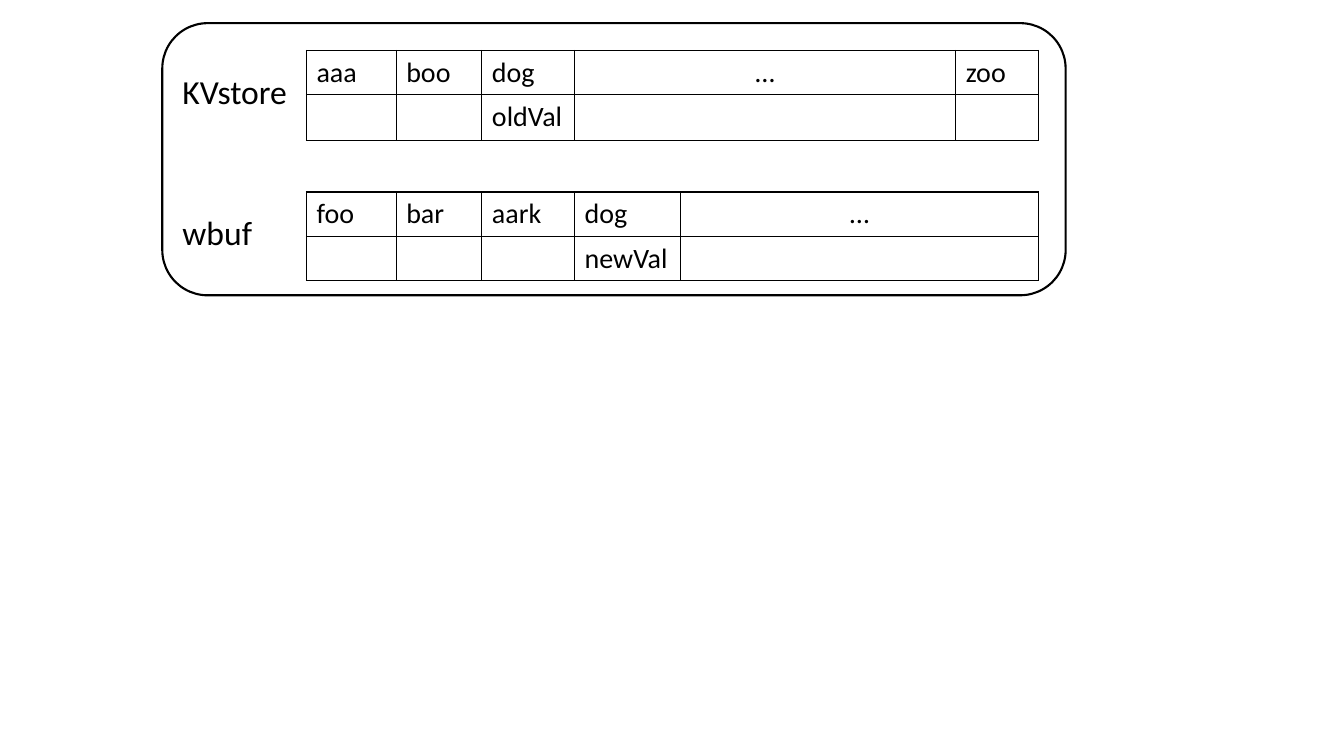
from lxml import etree
from pptx import Presentation
from pptx.dml.color import RGBColor
from pptx.enum import shapes, text
from pptx.oxml import ns
from pptx.util import Inches, Pt

COLORS = {"ink": "000000"}
FONT = "Calibri"
LABEL_SIZE, ENTRY_SIZE = 24, 20
NO_STYLE = "{2D5ABB26-0587-4C30-8999-92F81FD0307C}"
COLUMNS = [1.33, 0.89, 0.85, 0.92, 1.05, 1.62, 1.11, 0.82]
ROW_HEIGHT = 0.41
GAP_ROW = 2
ENTRIES = [
    ["KVstore", "aaa", "boo", "dog", "…", "", "", "zoo"],
    ["", "", "", "oldVal", "", "", "", ""],
    [""] * len(COLUMNS),
    ["wbuf", "foo", "bar", "aark", "dog", "…", "", ""],
    ["", "", "", "", "newVal", "", "", ""],
]
LABEL_ROWS = [0, 3]
ELLIPSIS_SPANS = [(0, 4, 6), (1, 4, 6), (3, 5, 7), (4, 5, 7)]


def write(frame, words, size=ENTRY_SIZE, color="ink", align=text.PP_ALIGN.LEFT):
    paragraph = frame.paragraphs[0]
    paragraph.alignment = align
    if not words:
        paragraph._p.get_or_add_endParaRPr().set("sz", str(size * 100))
        return
    run = paragraph.add_run()
    run.text = words
    run.font.size = Pt(size)
    run.font.name = FONT
    run.font.color.rgb = RGBColor.from_string(COLORS[color])


def set_borders(cell, sides):
    properties = cell._tc.get_or_add_tcPr()
    for side in "LRTB":
        line = etree.SubElement(properties, ns.qn(f"a:ln{side}"), w=str(Pt(1)))
        if side in sides:
            fill = etree.SubElement(line, ns.qn("a:solidFill"))
            etree.SubElement(fill, ns.qn("a:srgbClr"), val=COLORS["ink"])
        else:
            etree.SubElement(line, ns.qn("a:noFill"))
    cell.fill.background()


def add_enclosure(slide):
    enclosure = slide.shapes.add_shape(
        shapes.MSO_SHAPE.ROUNDED_RECTANGLE,
        Inches(1.61), Inches(0.23), Inches(8.96), Inches(2.7))
    enclosure.shadow.inherit = False
    enclosure.fill.background()
    enclosure.line.color.rgb = RGBColor.from_string(COLORS["ink"])
    enclosure.line.width = Pt(1.5)


def fill_cell(cell, words, row, column):
    is_label = column == 0
    if row == GAP_ROW:
        sides = "" if is_label else "TB"
    else:
        sides = "R" if is_label else "LRTB"
    set_borders(cell, sides)
    if is_label and row != GAP_ROW:
        cell.vertical_anchor = text.MSO_ANCHOR.MIDDLE
        cell.margin_top = 0
    size = LABEL_SIZE if row == GAP_ROW or (is_label and words) else ENTRY_SIZE
    align = text.PP_ALIGN.CENTER if words == "…" else text.PP_ALIGN.LEFT
    write(cell.text_frame, words, size=size, align=align)


def add_stores(slide):
    holder = slide.shapes.add_table(
        len(ENTRIES), len(COLUMNS),
        Inches(1.71), Inches(0.5), Inches(8.6), Inches(2.23))
    stores = holder.table
    stores.first_row = stores.horz_banding = False
    stores._tbl.tblPr.find(ns.qn("a:tableStyleId")).text = NO_STYLE
    for column, width in zip(stores.columns, COLUMNS):
        column.width = Inches(width)
    for row in stores.rows:
        row.height = Inches(ROW_HEIGHT)
    holder.height = Inches(2.23)
    for row, entries in enumerate(ENTRIES):
        for column, words in enumerate(entries):
            fill_cell(stores.cell(row, column), words, row, column)
    for row in LABEL_ROWS:
        stores.cell(row, 0).merge(stores.cell(row + 1, 0))
    for row, first, last in ELLIPSIS_SPANS:
        stores.cell(row, first).merge(stores.cell(row, last))


def main():
    deck = Presentation()
    deck.slide_width, deck.slide_height = Inches(13.33), Inches(7.5)
    slide = deck.slides.add_slide(deck.slide_layouts[6])
    add_enclosure(slide)
    add_stores(slide)
    deck.save("out.pptx")


if __name__ == "__main__":
    main()
